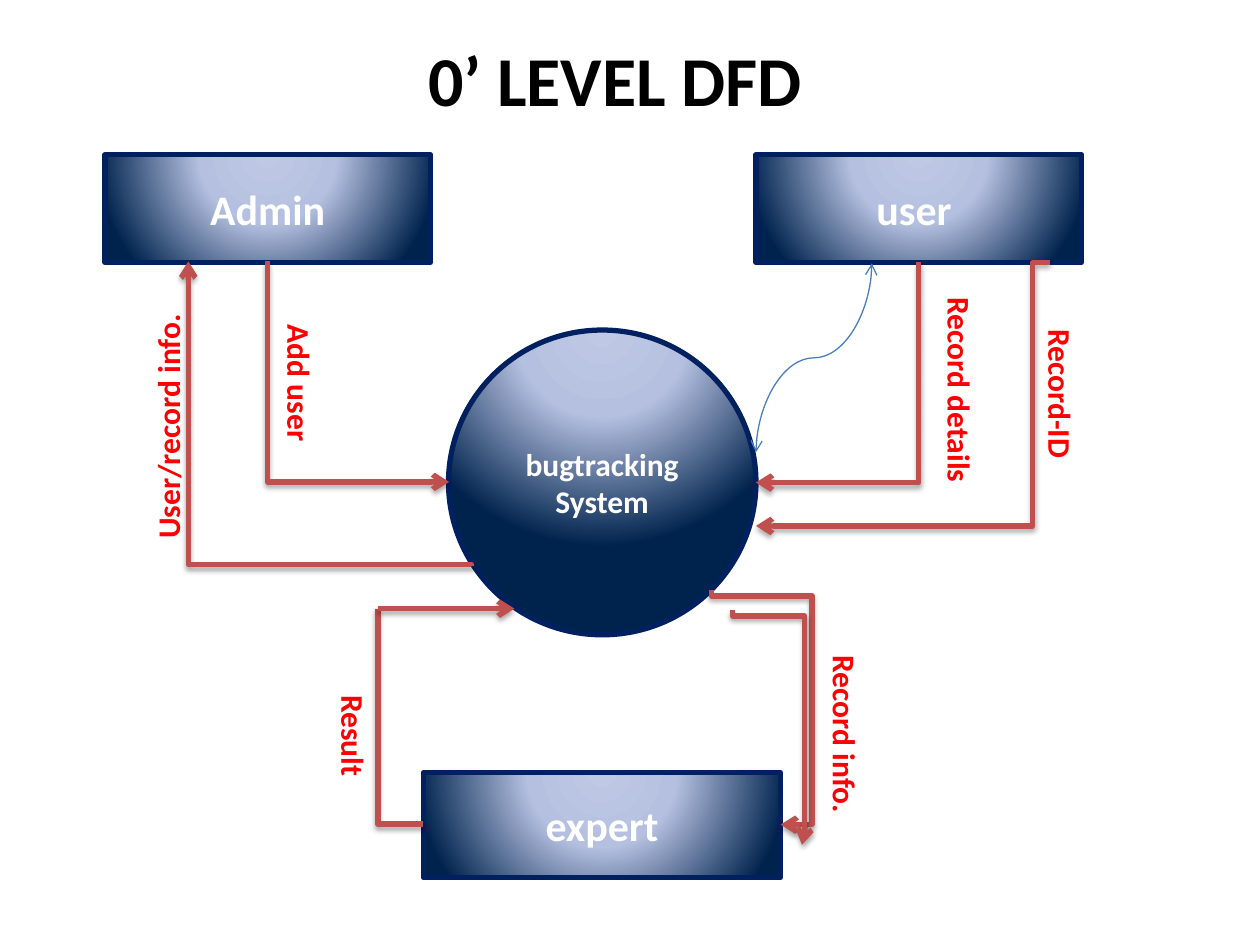
from lxml import etree
from pptx import Presentation
from pptx.dml.color import RGBColor
from pptx.enum.shapes import MSO_CONNECTOR, MSO_SHAPE
from pptx.enum.text import MSO_ANCHOR, PP_ALIGN
from pptx.oxml import parse_xml
from pptx.oxml.ns import nsdecls, qn
from pptx.util import Pt

STRAIGHT, ELBOW = MSO_CONNECTOR.STRAIGHT, MSO_CONNECTOR.ELBOW
RECTANGLE, OVAL = MSO_SHAPE.RECTANGLE, MSO_SHAPE.OVAL
CENTER, RIGHT, MIDDLE = PP_ALIGN.CENTER, PP_ALIGN.RIGHT, MSO_ANCHOR.MIDDLE
WHITE = RGBColor(0xFF, 0xFF, 0xFF)
BLACK = RGBColor(0x00, 0x00, 0x00)
RED = RGBColor(0xFF, 0x00, 0x00)
NAVY = RGBColor(0x00, 0x20, 0x60)
BRICK = RGBColor(0xC0, 0x50, 0x4D)
BLUE = RGBColor(0x4B, 0x7E, 0xBC)
GLOW_STOPS = ((0, RGBColor(0xBF, 0xC9, 0xE5)), (40, RGBColor(0xB5, 0xC0, 0xE0)),
              (100, RGBColor(0x00, 0x23, 0x4D)))

TITLE_BOX = (84.5, 30, 534, 30)
SYSTEM_BOX = (256.3, 188.6, 175.7, 174.2)
ADMIN_BOX = (60, 88.5, 186, 61.5)
USER_BOX = (432, 88.5, 186, 61.5)
EXPERT_BOX = (242, 441.5, 204, 60)

ADMIN_FLOWS = [
    dict(box=(81.8, 72, 126, 103.7), preset="bentConnector2", turn=270, flip="flipH"),
    dict(box=(41.5, 67, 174.2, 162), preset="bentConnector3", turn=270, flip="flipV",
         bends=(0.006,)),
]
ADMIN_LABELS = [
    dict(text="Add user", box=(54.5, 112.4, 113.8, 36)),
    dict(text="User/record info.", box=(-58.6, 143.3, 188.6, 23.8), turn=270),
]
USER_FLOWS = [
    dict(box=(-16.6, 77.8, 126, 92.9), preset="bentConnector2", turn=90),
    dict(box=(0, 61.5, 167.8, 150.5), preset="bentConnector3", turn=180, flip="flipV",
         bends=(0.058,)),
    dict(box=(-20.9, 82.9, 108, 66.2), preset="curvedConnector3", turn=90, color=BLUE,
         weight=0.75, ends=("headEnd", "tailEnd"), shadow=False),
]
USER_LABELS = [
    dict(text="Record details", box=(39.6, 113.1, 154.1, 42.5)),
    dict(text="Record-ID", box=(99.4, 124.6, 149.8, 23.8)),
]
EXPERT_FLOWS = [
    dict(box=(117.3, -57, 133.9, 39.6), preset="bentConnector4", turn=270, flip="flipH",
         bends=(0.024, 1.451)),
    dict(box=(-26, -93.7, 25.9, 123.1), preset="bentConnector2", turn=180, ends=()),
    dict(box=(-26, -93.7, 78, 0), preset="line"),
    dict(box=(129.5, -45.5, 133.9, 39.6), preset="bentConnector4", turn=270, flip="flipH",
         bends=(0.024, 1.041)),
]
EXPERT_LABELS = [
    dict(text="Record info.", box=(174.2, -52, 133.9, 30.2), align=RIGHT),
    dict(text="Result", box=(-111.7, -34.7, 144, 27.4)),
]


def to_points(box):
    """Return the numbers of a box as lengths in points."""
    return [Pt(value) for value in box]


def shift(box, origin):
    """Move a box by the left and top of the origin box."""
    return (box[0] + origin[0], box[1] + origin[1], box[2], box[3])


def write_text(shape, text, size, color, align=CENTER):
    """Write bold text in the vertical middle of a shape."""
    frame = shape.text_frame
    frame.text = text
    frame.word_wrap = True
    frame.vertical_anchor = MIDDLE
    paragraph = frame.paragraphs[0]
    paragraph.alignment = align
    font = paragraph.runs[0].font
    font.name, font.size, font.bold = "Calibri", Pt(size), True
    font.color.rgb = color


def add_text(slide, text, box, size, color, turn=0, align=CENTER):
    """Add a text box, turned if asked."""
    shape = slide.shapes.add_textbox(*to_points(box))
    shape.rotation = turn
    write_text(shape, text, size, color, align)


def add_node(slide, kind, box, text, size):
    """Add a glowing navy shape with white text."""
    shape = slide.shapes.add_shape(kind, *to_points(box))
    shape.shadow.inherit = False
    shape.line.color.rgb = NAVY
    shape.line.width = Pt(3)
    shape.fill.background()
    stops = "".join(f'<a:gs pos="{place * 1000}"><a:srgbClr val="{color}"/></a:gs>'
                    for place, color in GLOW_STOPS)
    properties = shape.element.spPr
    properties.replace(properties.find(qn("a:noFill")), parse_xml(
        f'<a:gradFill {nsdecls("a")} rotWithShape="1"><a:gsLst>{stops}</a:gsLst>'
        '<a:path path="circle"><a:fillToRect l="50000" t="-80000" r="50000" b="180000"/>'
        '</a:path></a:gradFill>'))
    write_text(shape, text, size, WHITE)


def add_flow(slide, box, preset, turn=0, flip=None, bends=(), color=BRICK, weight=3,
             ends=("tailEnd",), shadow=True):
    """Add a connector with its bends, arrowheads and soft shadow."""
    left, top, width, height = box
    kind = STRAIGHT if preset == "line" else ELBOW
    connector = slide.shapes.add_connector(
        kind, *to_points((left, top, left + width, top + height)))
    connector.line.color.rgb = color
    connector.line.width = Pt(weight)
    properties = connector.element.spPr
    transform = properties.find(qn("a:xfrm"))
    transform.set("rot", str(turn * 60000))
    if flip:
        transform.set(flip, "1")
    geometry = properties.find(qn("a:prstGeom"))
    geometry.set("prst", preset)
    guides = geometry.find(qn("a:avLst"))
    for number, bend in enumerate(bends, 1):
        etree.SubElement(guides, qn("a:gd"), name=f"adj{number}",
                         fmla=f"val {round(bend * 100000)}")
    for end in ends:
        etree.SubElement(properties.find(qn("a:ln")), qn(f"a:{end}"), type="arrow")
    effects = etree.SubElement(properties, qn("a:effectLst"))
    if shadow:
        effects.append(parse_xml(
            f'<a:outerShdw {nsdecls("a")} blurRad="{Pt(3.1)}" dist="{Pt(1.8)}" '
            'dir="5400000" rotWithShape="0"><a:srgbClr val="000000">'
            '<a:alpha val="35000"/></a:srgbClr></a:outerShdw>'))


def add_entity(slide, box, name, flows, labels):
    """Add an outside entity with the flows and labels placed from its corner."""
    add_node(slide, RECTANGLE, box, name, 24)
    for flow in flows:
        add_flow(slide, **{**flow, "box": shift(flow["box"], box)})
    for label in labels:
        add_text(slide, **{"turn": 90, **label, "box": shift(label["box"], box)},
                 size=18, color=RED)


def main():
    """Build the data flow slide and save it."""
    presentation = Presentation()
    presentation.slide_width, presentation.slide_height = Pt(720), Pt(540)
    slide = presentation.slides.add_slide(presentation.slide_layouts[6])
    add_text(slide, "0’ LEVEL DFD", TITLE_BOX, 40, BLACK)
    add_node(slide, OVAL, SYSTEM_BOX, "bugtracking System", 18)
    add_entity(slide, ADMIN_BOX, "Admin", ADMIN_FLOWS, ADMIN_LABELS)
    add_entity(slide, USER_BOX, "user ", USER_FLOWS, USER_LABELS)
    add_entity(slide, EXPERT_BOX, "expert", EXPERT_FLOWS, EXPERT_LABELS)
    presentation.save("out.pptx")


main()
